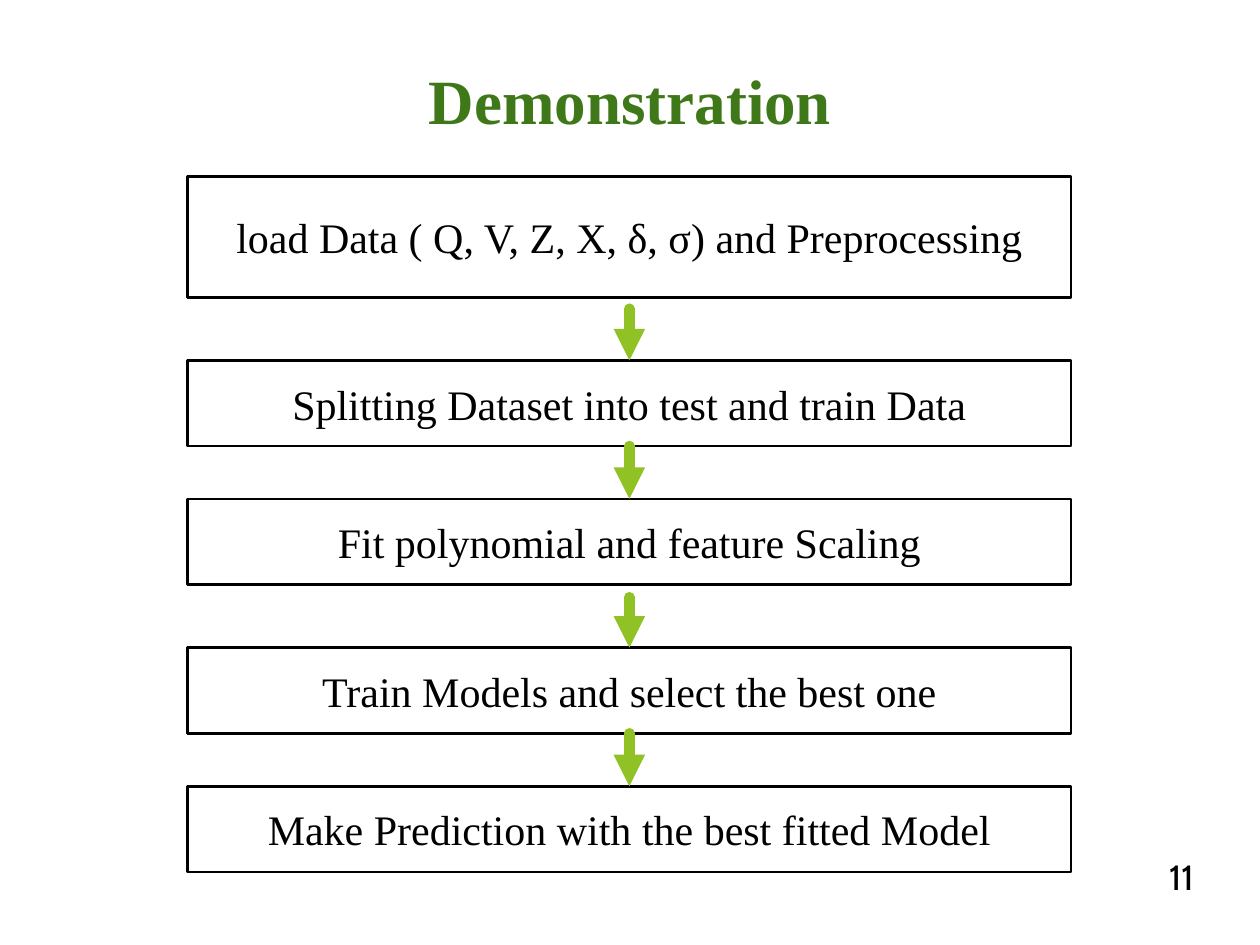
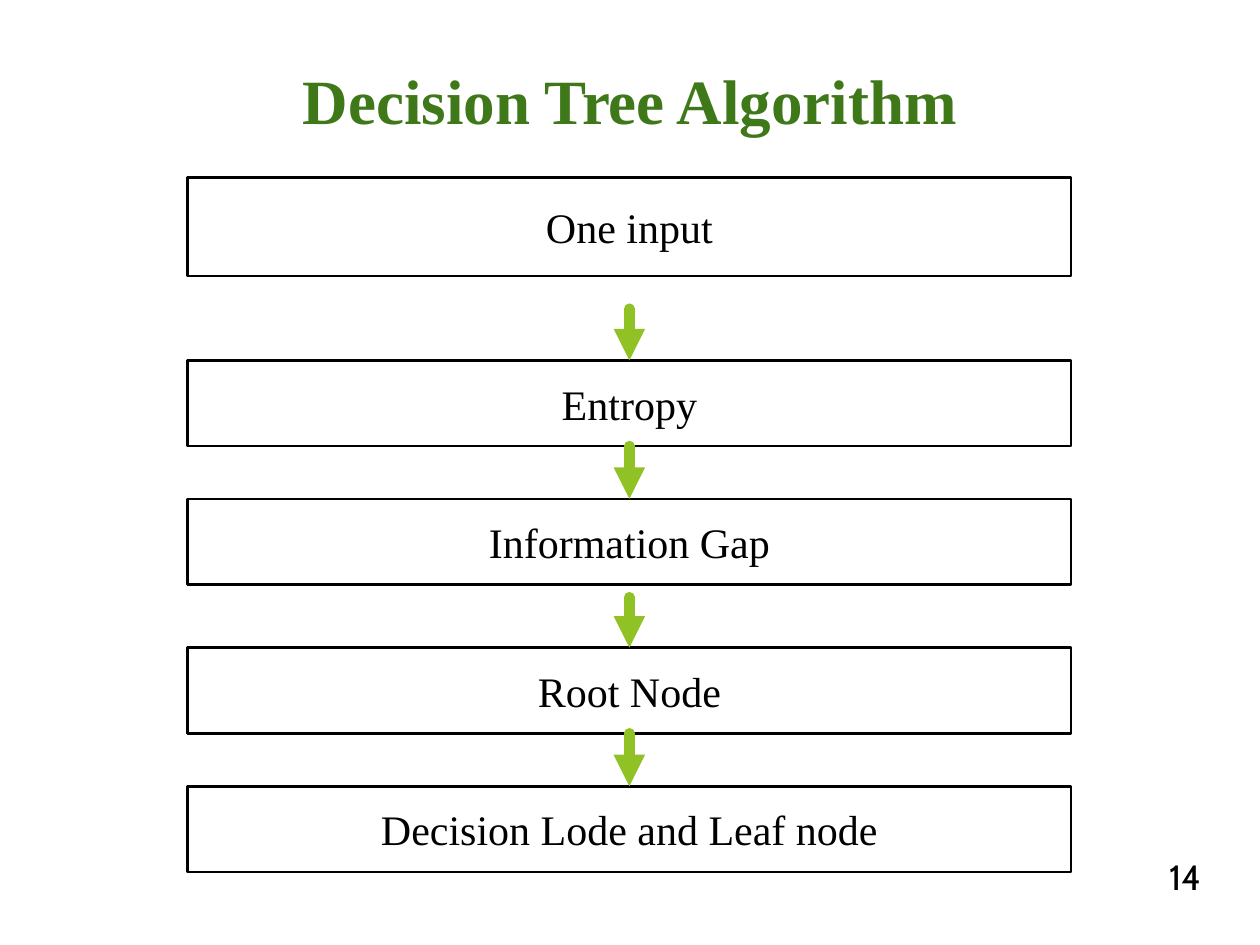
from lxml import etree
from pptx import Presentation
from pptx.dml.color import RGBColor
from pptx.enum.shapes import MSO_CONNECTOR, MSO_SHAPE
from pptx.enum.text import MSO_ANCHOR, PP_ALIGN
from pptx.oxml.ns import qn
from pptx.util import Inches, Pt

STRAIGHT = MSO_CONNECTOR.STRAIGHT
PROCESS = MSO_SHAPE.FLOWCHART_PROCESS
MIDDLE = MSO_ANCHOR.MIDDLE
CENTER, LEFT = PP_ALIGN.CENTER, PP_ALIGN.LEFT

DARK_GREEN = RGBColor(0x3F, 0x78, 0x19)
LIME = RGBColor(0x90, 0xC2, 0x26)
BLACK = RGBColor(0, 0, 0)
WHITE = RGBColor(255, 255, 255)
SERIF, NUMBER_FONT = "Times New Roman", "Cabin"

FLOWS = [
    {"title": "Demonstration", "number": "11", "first_box": (1.4, 0.96),
     "steps": ["load Data ( Q, V, Z, X, δ, σ) and Preprocessing",
               "Splitting Dataset into test and train Data",
               "Fit polynomial and feature Scaling",
               "Train Models and select the best one",
               "Make Prediction with the best fitted Model"]},
    {"title": "Decision Tree Algorithm", "number": "14", "first_box": (1.41, 0.78),
     "steps": ["One input", "Entropy", "Information Gap", "Root Node",
               "Decision Lode and Leaf node"]},
]

STEP_LEFT, STEP_WIDTH, STEP_HEIGHT = 1.49, 7.01, 0.68
LATER_TOPS = [2.86, 3.96, 5.14, 6.24]
ARROW_STARTS = [2.45, 3.55, 4.74, 5.82]
TOP_SITE, BOTTOM_SITE = 0, 2
TOUCHING = 0.02


def write(frame, text, font_name, size, color, align, bold=False):
    frame.text = text
    paragraph = frame.paragraphs[0]
    paragraph.alignment = align
    font = paragraph.font
    font.name, font.size, font.bold = font_name, Pt(size), bold
    font.color.rgb = color


def add_title(slide, text):
    title = slide.shapes.title
    title.left, title.top = Inches(0), Inches(0.44)
    title.width, title.height = Inches(10), Inches(0.7)
    title.text_frame.vertical_anchor = MIDDLE
    write(title.text_frame, text, SERIF, 36, DARK_GREEN, CENTER, bold=True)


def add_step(slide, text, top, height):
    step = slide.shapes.add_shape(PROCESS, Inches(STEP_LEFT), Inches(top),
                                  Inches(STEP_WIDTH), Inches(height))
    step.shadow.inherit = False
    step.fill.solid()
    step.fill.fore_color.rgb = WHITE
    step.line.color.rgb = BLACK
    step.line.width = Pt(1.5)
    step.text_frame.vertical_anchor = MIDDLE
    write(step.text_frame, text, SERIF, 24, BLACK, CENTER)
    return step


def add_arrow(slide, start, upper, lower):
    middle = lower.left + lower.width // 2
    arrow = slide.shapes.add_connector(STRAIGHT, middle, Inches(start), middle, lower.top)
    if abs(Inches(start) - upper.top - upper.height) < Inches(TOUCHING):
        arrow.begin_connect(upper, BOTTOM_SITE)
    arrow.end_connect(lower, TOP_SITE)
    arrow.line.color.rgb = LIME
    arrow.line.width = Pt(6)
    line = arrow.line._get_or_add_ln()
    etree.SubElement(line, qn("a:round"))
    etree.SubElement(line, qn("a:tailEnd"), type="triangle")
    etree.SubElement(arrow._element.spPr, qn("a:effectLst"))
    line.set("cap", "rnd")


def add_number(slide, number):
    box = slide.shapes.add_textbox(Inches(9.18), Inches(6.74), Inches(0.61), Inches(0.44))
    box.text_frame.word_wrap = True
    write(box.text_frame, number, NUMBER_FONT, 20, BLACK, LEFT)


def add_flow(deck, flow):
    slide = deck.slides.add_slide(deck.slide_layouts[5])
    add_title(slide, flow["title"])
    places = [flow["first_box"]] + [(top, STEP_HEIGHT) for top in LATER_TOPS]
    steps = [add_step(slide, text, *place) for text, place in zip(flow["steps"], places)]
    for start, upper, lower in zip(ARROW_STARTS, steps, steps[1:]):
        add_arrow(slide, start, upper, lower)
    add_number(slide, flow["number"])


def main():
    deck = Presentation()
    deck.slide_width, deck.slide_height = Inches(10), Inches(7.5)
    for flow in FLOWS:
        add_flow(deck, flow)
    deck.save("out.pptx")


if __name__ == "__main__":
    main()
